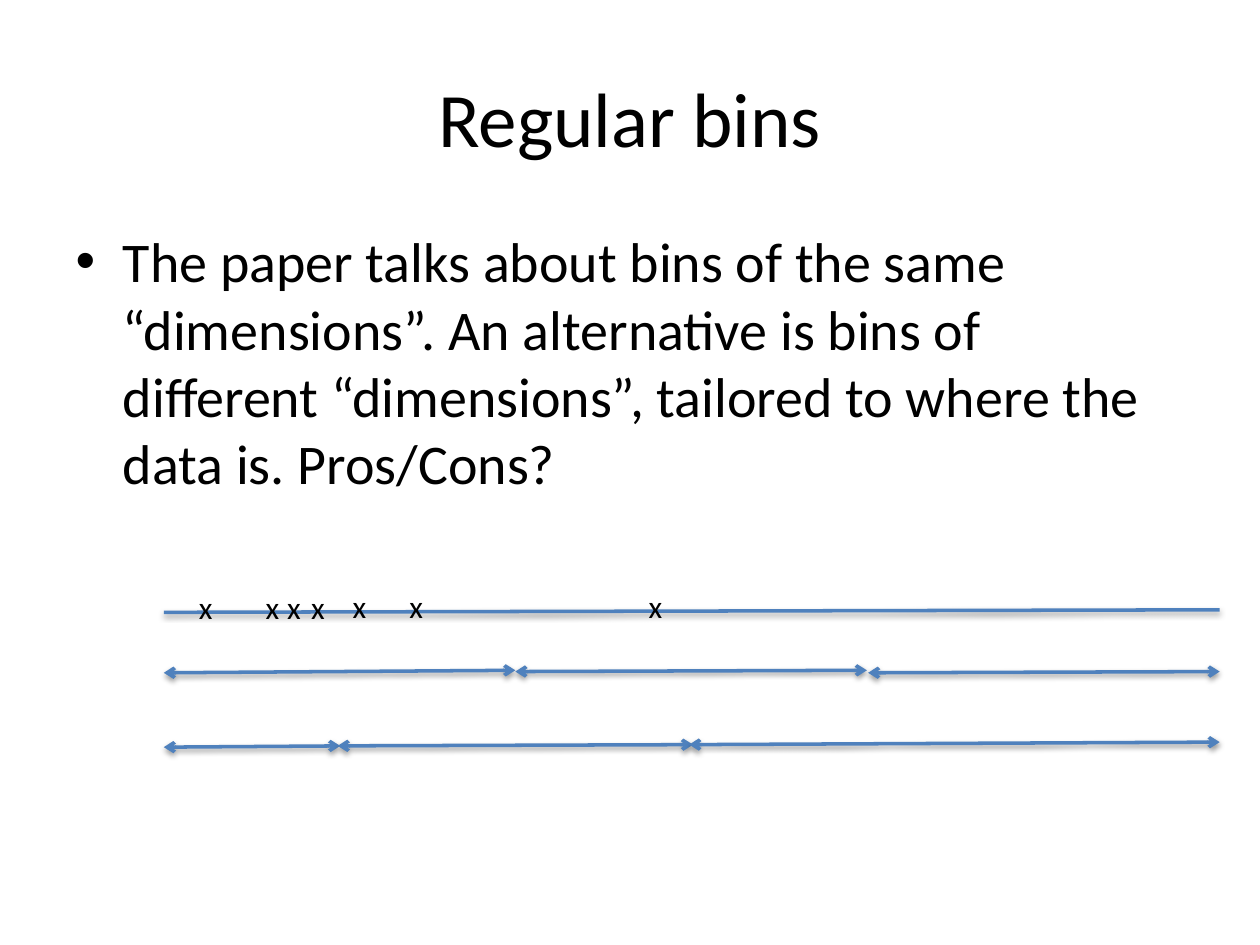
import pptx
import pptx.dml.color
import pptx.enum.shapes
import pptx.enum.text
import pptx.oxml
import pptx.oxml.ns
import pptx.util
from pptx.util import Inches

BLACK = "000000"
BLUE = "4F81BD"
SHADOW = (
    f'<a:effectLst {pptx.oxml.ns.nsdecls("a")}>'
    '<a:outerShdw blurRad="40000" dist="20000" dir="5400000" rotWithShape="0">'
    '<a:srgbClr val="000000"><a:alpha val="38000"/></a:srgbClr>'
    '</a:outerShdw></a:effectLst>'
)

# Left and top of each data mark's box
MARKS = [(1.48, 4.62), (2.01, 4.62), (2.18, 4.62), (2.37, 4.62),
         (2.7, 4.61), (3.15, 4.61), (5.05, 4.61)]

# Start x, start y, end x, end y of each bin
EQUAL_BINS = [(1.3, 5.34, 4.09, 5.32), (4.09, 5.33, 6.88, 5.32),
              (6.89, 5.34, 9.68, 5.33)]
TAILORED_BINS = [(1.3, 5.93, 2.7, 5.92), (2.68, 5.92, 5.5, 5.91),
                 (5.47, 5.91, 9.68, 5.89)]


def rgb(color):
    return pptx.dml.color.RGBColor.from_string(color)


def place(s, left, top, width, height):
    s.left, s.top = Inches(left), Inches(top)
    s.width, s.height = Inches(width), Inches(height)


def write(s, text, size=18, color=BLACK, font="Calibri", align=None):
    p = s.text_frame.paragraphs[0]
    p.alignment = align
    r = p.add_run()
    r.text = text
    r.font.size = pptx.util.Pt(size)
    r.font.name = font
    r.font.color.rgb = rgb(color)


def add_mark(slide, left, top):
    s = slide.shapes.add_textbox(Inches(left), Inches(top), Inches(1.05), Inches(0.4))
    s.text_frame.word_wrap = True
    s.text_frame.auto_size = pptx.enum.text.MSO_AUTO_SIZE.SHAPE_TO_FIT_TEXT
    write(s, "x")


def add_line(slide, x1, y1, x2, y2, arrows=False):
    s = slide.shapes.add_connector(
        pptx.enum.shapes.MSO_CONNECTOR.STRAIGHT,
        Inches(x1), Inches(y1), Inches(x2), Inches(y2))
    s.line.color.rgb = rgb(BLUE)
    s.line.width = pptx.util.Pt(2)
    if arrows:
        ln = s.line._get_or_add_ln()
        for end in ("headEnd", "tailEnd"):
            ln.append(pptx.oxml.parse_xml(
                f'<a:{end} {pptx.oxml.ns.nsdecls("a")} type="arrow"/>'))
    s._element.spPr.append(pptx.oxml.parse_xml(SHADOW))


def main():
    prs = pptx.Presentation()
    prs.slide_width, prs.slide_height = Inches(10), Inches(7.5)
    slide = prs.slides.add_slide(prs.slide_layouts[1])

    title, body = slide.placeholders
    place(title, 0.5, 0.3, 9, 1.25)
    write(title, "Regular bins", size=44, align=pptx.enum.text.PP_ALIGN.CENTER)
    place(body, 0.5, 1.75, 9, 4.95)
    write(body, "The paper talks about bins of the same “dimensions”. "
                "An alternative is bins of different “dimensions”, "
                "tailored to where the data is. Pros/Cons?", size=32)

    add_line(slide, 1.3, 4.86, 9.68, 4.84)
    for mark in MARKS:
        add_mark(slide, *mark)
    for bin_ends in EQUAL_BINS + TAILORED_BINS:
        add_line(slide, *bin_ends, arrows=True)

    prs.save("out.pptx")


if __name__ == "__main__":
    main()
